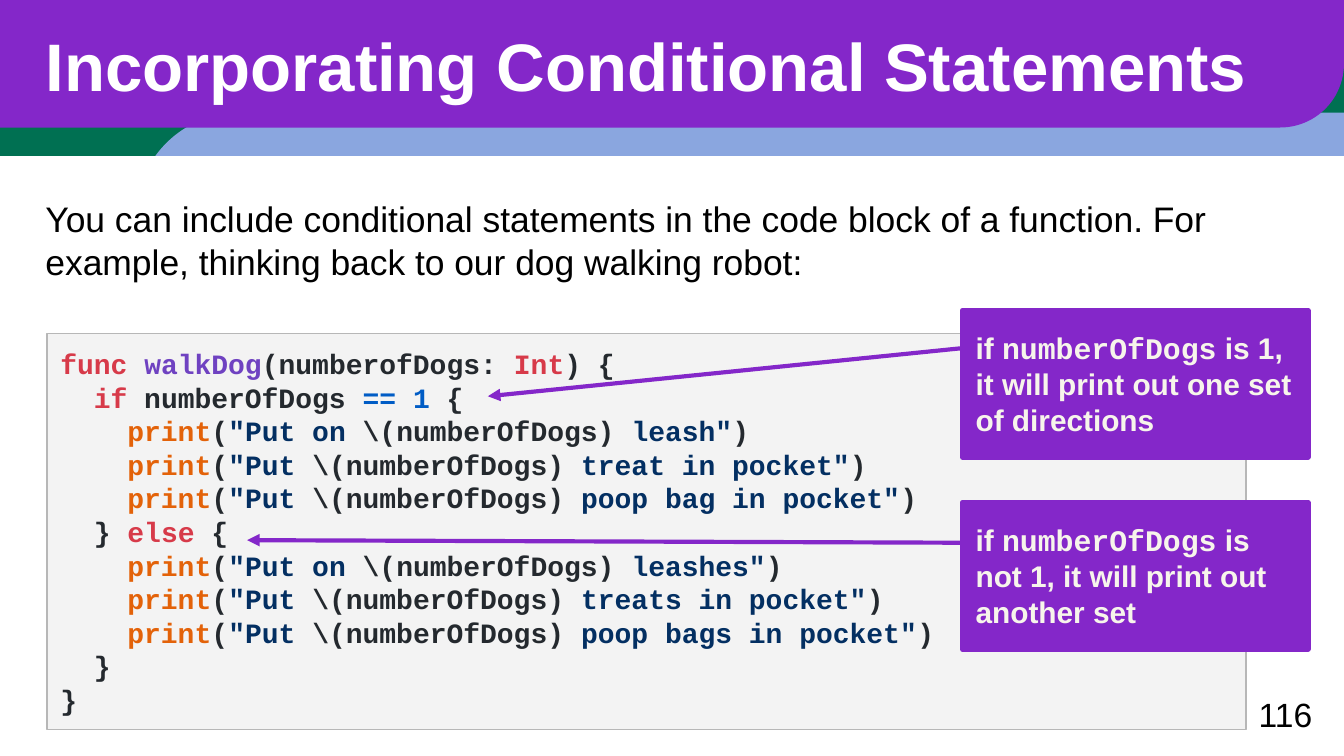
"""Build the slide on conditional statements inside a function."""
import dataclasses

import pptx
import pptx.dml.color
import pptx.enum.shapes
import pptx.enum.text
import pptx.oxml.ns
import pptx.util
from lxml import etree

Cm = pptx.util.Cm
Pt = pptx.util.Pt
RGB = pptx.dml.color.RGBColor.from_string
SHAPE = pptx.enum.shapes.MSO_SHAPE
ANCHOR = pptx.enum.text.MSO_ANCHOR
ALIGN = pptx.enum.text.PP_ALIGN
qn = pptx.oxml.ns.qn


@dataclasses.dataclass(frozen=True)
class Theme:
    sans: str = "Arial"
    mono: str = "Courier New"
    green: str = "007052"
    blue: str = "8AA6DF"
    purple: str = "8427C9"
    white: str = "FFFFFF"
    black: str = "000000"
    cream: str = "F7F5EB"
    panel: str = "F3F3F3"
    border: str = "B7B7B7"
    keyword: str = "D73A49"
    function: str = "6F42C1"
    plain: str = "24292E"
    number: str = "005CC5"
    call: str = "E36209"
    string: str = "032F62"
    title_size: int = 36
    body_size: int = 19
    page_size: int = 18
    callout_size: int = 16
    code_size: int = 15


T = Theme()


def print_line(before, after):
    return [("    print", T.call), ("(", T.plain), (f'"Put {before}', T.string),
            ("\\(numberOfDogs)", T.plain), (f' {after}"', T.string), (")", T.plain)]


CODE = [
    [("func ", T.keyword), ("walkDog", T.function), ("(numberofDogs: ", T.plain),
     ("Int", T.keyword), (") {", T.plain)],
    [("  if", T.keyword), (" numberOfDogs ", T.plain), ("== 1", T.number), (" {", T.plain)],
    print_line("on ", "leash"),
    print_line("", "treat in pocket"),
    print_line("", "poop bag in pocket"),
    [("  } ", T.plain), ("else", T.keyword), (" {", T.plain)],
    print_line("on ", "leashes"),
    print_line("", "treats in pocket"),
    print_line("", "poop bags in pocket"),
    [("  }", T.plain)],
    [("}", T.plain)],
]

CALLOUTS = [
    (5.87, " is 1, it will print out one set of directions", (18.49, 6.55), (9.22, 7.49)),
    (9.5, " is not 1, it will print out another set", (18.54, 10.26), (4.67, 10.21)),
]


def add_box(s, kind, left, top, width, height, fill, line=None, weight=0.75):
    sp = s.shapes.add_shape(kind, Cm(left), Cm(top), Cm(width), Cm(height))
    sp.shadow.inherit = False
    sp.fill.solid()
    sp.fill.fore_color.rgb = RGB(fill)
    if line:
        sp.line.color.rgb = RGB(line)
        sp.line.width = Pt(weight)
    else:
        sp.line.fill.background()
    return sp


def add_band(s, left, top, width, height, fill, radius, rotation=0):
    sp = add_box(s, SHAPE.ROUND_1_RECTANGLE, left, top, width, height, fill)
    sp.adjustments[0] = radius
    sp.rotation = rotation
    sp._element.spPr.find(qn("a:xfrm")).set("flipH", "1")


def set_frame(sp, anchor):
    tf = sp.text_frame
    tf.word_wrap = True
    tf.vertical_anchor = anchor
    tf.margin_left = tf.margin_right = tf.margin_top = tf.margin_bottom = Cm(0.25)
    return tf


def style(p, size, color=None, font=None, bold=False, align=ALIGN.LEFT):
    p.alignment = align
    p.line_spacing = 1.0
    p.font.size = Pt(size)
    p.font.bold = bold
    if color:
        p.font.color.rgb = RGB(color)
    if font:
        p.font.name = font


def add_text(s, left, top, width, height, text, size, color, anchor=ANCHOR.MIDDLE,
             bold=False, align=ALIGN.LEFT):
    sp = s.shapes.add_textbox(Cm(left), Cm(top), Cm(width), Cm(height))
    p = set_frame(sp, anchor).paragraphs[0]
    p.add_run().text = text
    style(p, size, color, T.sans, bold, align)


def add_code(s, left, top, width, height, lines):
    sp = add_box(s, SHAPE.RECTANGLE, left, top, width, height, T.panel, T.border)
    tf = set_frame(sp, ANCHOR.TOP)
    for i, line in enumerate(lines):
        p = tf.add_paragraph() if i else tf.paragraphs[0]
        style(p, T.code_size, font=T.mono, bold=True)
        for text, color in line:
            r = p.add_run()
            r.text = text
            r.font.color.rgb = RGB(color)


def add_arrow(s, start, end):
    cx = s.shapes.add_connector(pptx.enum.shapes.MSO_CONNECTOR.STRAIGHT,
                                *map(Cm, start), *map(Cm, end))
    cx.line.color.rgb = RGB(T.purple)
    cx.line.width = Pt(2.25)
    etree.SubElement(cx.line._get_or_add_ln(), qn("a:tailEnd"), type="triangle")
    etree.SubElement(cx._element.spPr, qn("a:effectLst"))


def add_callout(s, top, ending):
    sp = add_box(s, SHAPE.ROUNDED_RECTANGLE, 18.19, top, 6.53, 2.77, T.purple, T.purple, 3)
    sp.adjustments[0] = 0
    p = set_frame(sp, ANCHOR.MIDDLE).paragraphs[0]
    style(p, T.callout_size, T.cream, bold=True)
    for text, font in (("if ", T.sans), ("numberOfDogs", T.mono), (ending, T.sans)):
        r = p.add_run()
        r.text = text
        r.font.name = font


def main():
    prs = pptx.Presentation()
    prs.slide_width, prs.slide_height = Cm(25.4), Cm(14.29)
    s = prs.slides.add_slide(prs.slide_layouts[6])
    s.background.fill.solid()
    s.background.fill.fore_color.rgb = RGB(T.green)

    add_band(s, 2.57, 2.13, 22.83, 11.53, T.blue, 0.17)
    add_box(s, SHAPE.RECTANGLE, 0, 2.95, 25.4, 11.34, T.white)
    add_band(s, 0, 0, 25.4, 2.41, T.purple, 0.5, rotation=180)

    add_text(s, 23.09, 12.95, 1.96, 1.09, "116", T.page_size, T.black, align=ALIGN.RIGHT)
    add_text(s, 0.61, 0.2, 23.83, 2.06, "Incorporating Conditional Statements",
             T.title_size, T.white, bold=True)
    add_text(s, 0.61, 3.48, 24.1, 10.08,
             "You can include conditional statements in the code block of a function. "
             "For example, thinking back to our dog walking robot:",
             T.body_size, T.black, ANCHOR.TOP)

    add_code(s, 0.89, 6.3, 22.66, 7.49, CODE)
    for top, ending, start, end in CALLOUTS:
        add_arrow(s, start, end)
        add_callout(s, top, ending)
    prs.save("out.pptx")


if __name__ == "__main__":
    main()
